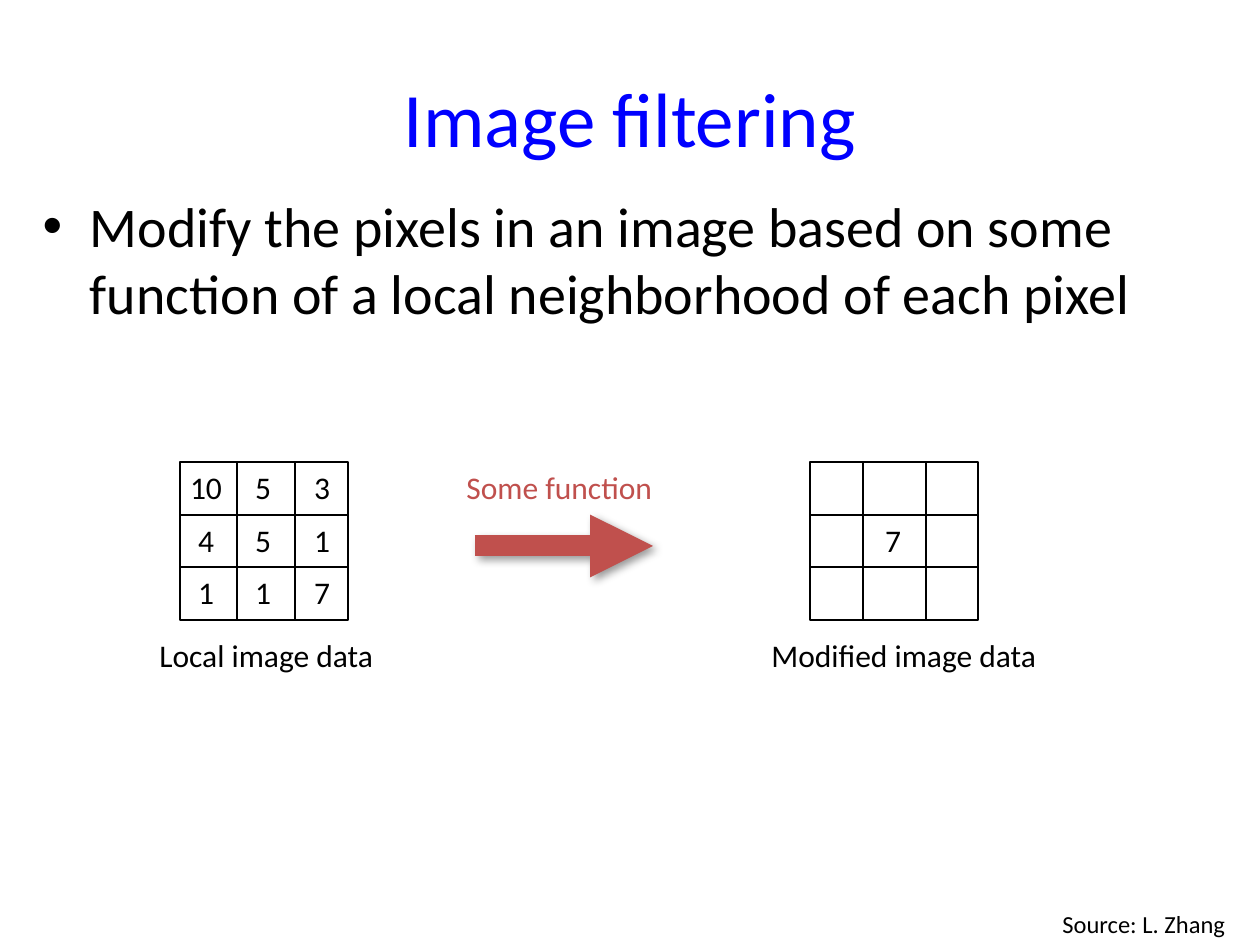
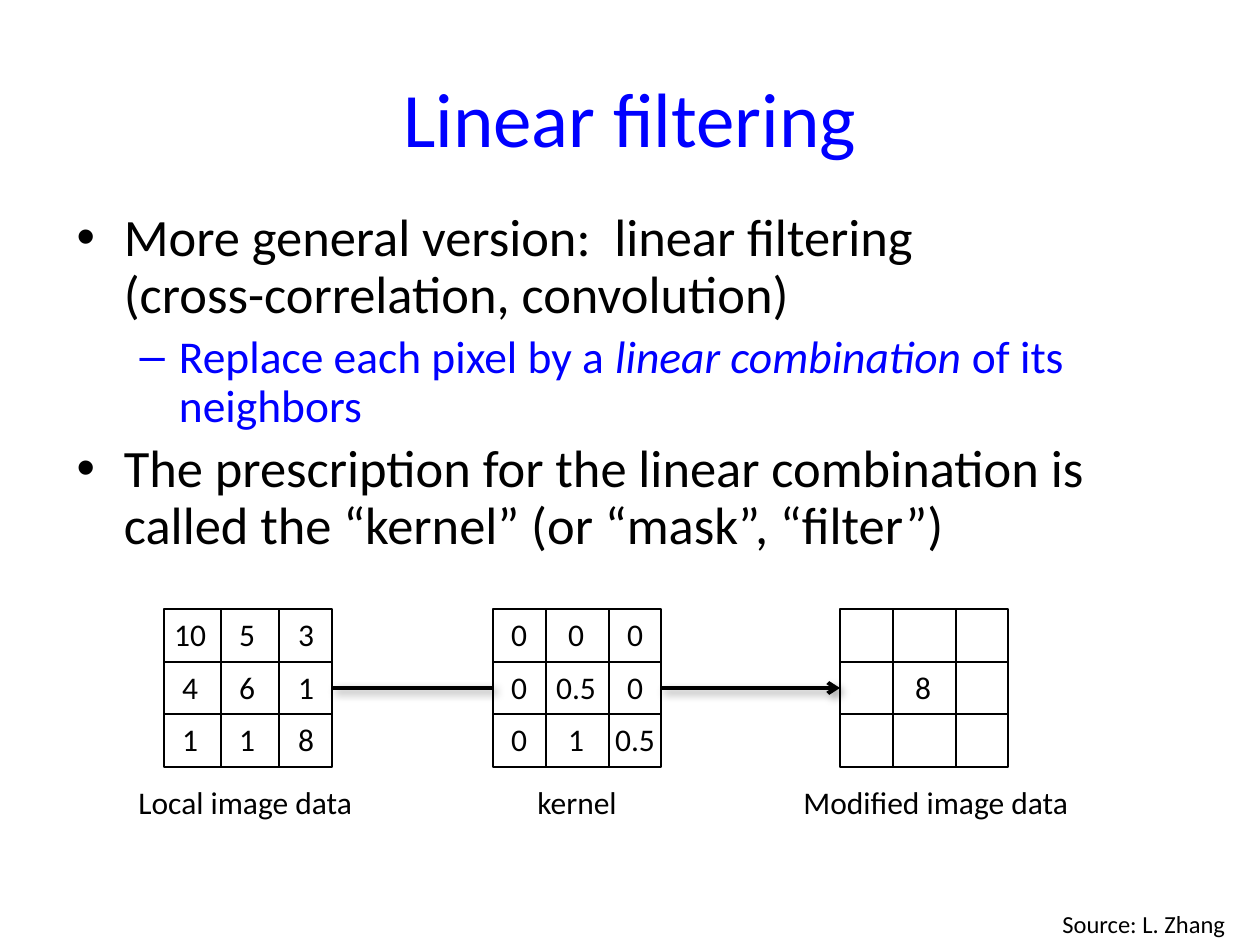
import lxml.etree
import pptx
import pptx.dml.color
import pptx.enum.shapes
import pptx.enum.text
import pptx.oxml.ns
import pptx.util

PX = 914400 / 126  # EMU in one px
BLUE = pptx.dml.color.RGBColor(0x00, 0x00, 0xFF)
BLACK = pptx.dml.color.RGBColor(0x00, 0x00, 0x00)
RED = pptx.dml.color.RGBColor(0xC0, 0x50, 0x4D)
FONT = "Calibri"

# Pixel grid geometry, relative to the grid's top left corner
GRID_WIDTH, GRID_HEIGHT = 168, 158
ROW_TOPS = (0, 53, 105)
NUMBER_CENTRES = (26, 83, 142)
NUMBER_WIDTH, NUMBER_HEIGHT = 58, 50
WIDE_FIRST = (57, 115)
WIDE_MIDDLE = (53, 116)
CAPTION_DROP = 168


def add_label(shapes, text, left, top, width, height, size=18, colour=BLACK, centred=False):
    label = shapes.add_textbox(*(round(n * PX) for n in (left, top, width, height)))
    frame = label.text_frame
    frame.word_wrap = True
    frame.text = text
    paragraph = frame.paragraphs[0]
    if centred:
        frame.margin_left = frame.margin_right = 0
        paragraph.alignment = pptx.enum.text.PP_ALIGN.CENTER
    font = paragraph.runs[0].font
    font.name, font.size = FONT, pptx.util.Pt(size)
    font.color.rgb = colour


def add_line(shapes, x1, y1, x2, y2, colour=BLACK, width=0.75, head=None, shadow=False):
    line = shapes.add_connector(pptx.enum.shapes.MSO_CONNECTOR.STRAIGHT,
                                *(round(n * PX) for n in (x1, y1, x2, y2)))
    line.line.color.rgb = colour
    line.line.width = pptx.util.Pt(width)
    qn = pptx.oxml.ns.qn
    properties = line._element.spPr
    if head:
        lxml.etree.SubElement(properties.find(qn("a:ln")), qn("a:tailEnd"), type=head)
    effects = lxml.etree.SubElement(properties, qn("a:effectLst"))
    if shadow:
        outer = lxml.etree.SubElement(effects, qn("a:outerShdw"), blurRad="63500",
                                      dist="38100", dir="2700000", rotWithShape="0")
        shade = lxml.etree.SubElement(outer, qn("a:srgbClr"), val="000000")
        lxml.etree.SubElement(shade, qn("a:alpha"), val="40000")


presentation = pptx.Presentation()
presentation.slide_width = pptx.util.Inches(10)
presentation.slide_height = pptx.util.Inches(7.5)

EMPTY = ["", "", ""]

# Bullets: level, size, colour, line spacing, pieces as (text, italic)
# Grids: left, column dividers, rows, caption, caption left, caption width
# Arrows: from x, to x, y, colour, width, head
slides = [
    {
        "title": "Image filtering",
        "body": (30, 185, 1202, 190),
        "bullets": [
            (0, 32, BLACK, None, [("Modify the pixels in an image based on some function "
                                   "of a local neighborhood of each pixel", None)]),
        ],
        "grid top": 462,
        "grids": [
            (180, WIDE_FIRST, [["10", "5", "3"], ["4", "5", "1"], ["1", "1", "7"]],
             "Local image data", 147, 314),
            (810, WIDE_MIDDLE, [EMPTY, ["", "7", ""], EMPTY],
             "Modified image data", 759, 374),
        ],
        "arrows": [(475, 653, 546, RED, 12, "triangle")],
    },
    {
        "title": "Linear filtering",
        "body": (64, 205, 1154, 386),
        "bullets": [
            (0, 30, BLACK, 0.9, [("More general version:  linear filtering\v"
                                  "(cross-correlation, convolution)", None)]),
            (1, 26, BLUE, 0.9, [("Replace each pixel by a", None),
                                (" linear combination ", True),
                                ("of its neighbors", None)]),
            (0, 30, BLACK, 0.9, [("The prescription for the linear combination is called "
                                  "the “kernel” (or “mask”, “filter”)", None)]),
        ],
        "grid top": 609,
        "grids": [
            (164, WIDE_FIRST, [["10", "5", "3"], ["4", "6", "1"], ["1", "1", "8"]],
             "Local image data", 126, 252),
            (493, WIDE_MIDDLE, [["0", "0", "0"], ["0", "0.5", "0"], ["0", "1", "0.5"]],
             "kernel", 525, 130),
            (840, WIDE_MIDDLE, [EMPTY, ["", "8", ""], EMPTY],
             "Modified image data", 791, 374),
        ],
        "arrows": [(332, 493, 688, BLACK, 2.25, None),
                   (661, 840, 688, BLACK, 2.25, "arrow")],
    },
]

for content in slides:
    slide = presentation.slides.add_slide(presentation.slide_layouts[1])

    # Title
    title = slide.shapes.title
    title.left, title.top, title.width, title.height = (
        round(n * PX) for n in (63, 38, 1134, 158))
    title.text_frame.text = content["title"]
    font = title.text_frame.paragraphs[0].runs[0].font
    font.name, font.size = FONT, pptx.util.Pt(44)
    font.color.rgb = BLUE

    # Bullet list
    body = slide.placeholders[1]
    body.left, body.top, body.width, body.height = (round(n * PX) for n in content["body"])
    frame = body.text_frame
    frame.auto_size = pptx.enum.text.MSO_AUTO_SIZE.NONE
    for index, (level, size, colour, spacing, pieces) in enumerate(content["bullets"]):
        paragraph = frame.add_paragraph() if index else frame.paragraphs[0]
        paragraph.text = pieces[0][0]
        paragraph.level = level
        paragraph.line_spacing = spacing
        for text, italic in pieces[1:]:
            run = paragraph.add_run()
            run.text = text
            run.font.italic = italic
        for run in paragraph.runs:
            run.font.name, run.font.size = FONT, pptx.util.Pt(size)
            run.font.color.rgb = colour

    # Arrows between the grids
    for start, end, y, colour, width, head in content["arrows"]:
        add_line(slide.shapes, start, y, end, y, colour, width, head, shadow=True)

    # Pixel grids with captions
    top = content["grid top"]
    for left, dividers, rows, caption, caption_left, caption_width in content["grids"]:
        grid = slide.shapes.add_group_shape().shapes
        outline = grid.add_shape(
            pptx.enum.shapes.MSO_SHAPE.RECTANGLE,
            *(round(n * PX) for n in (left, top, GRID_WIDTH, GRID_HEIGHT)))
        outline.shadow.inherit = False
        outline.fill.background()
        outline.line.color.rgb = BLACK
        outline.line.width = pptx.util.Pt(0.75)
        for x in dividers:
            add_line(grid, left + x, top, left + x, top + GRID_HEIGHT)
        for row_top, numbers in zip(ROW_TOPS, rows):
            y = top + row_top
            add_line(grid, left, y, left + GRID_WIDTH, y)
            for centre, number in zip(NUMBER_CENTRES, numbers):
                if number:
                    add_label(grid, number, left + centre - NUMBER_WIDTH // 2, y,
                              NUMBER_WIDTH, NUMBER_HEIGHT, centred=True)
        add_label(slide.shapes, caption, caption_left, top + CAPTION_DROP, caption_width, 50)

    # Source credit
    add_label(slide.shapes, "Source: L. Zhang", 1050, 903, 195, 43, size=14)

# Name of the red arrow on the first slide
add_label(presentation.slides[0].shapes, "Some function", 454, 462, 271, 50, colour=RED)

presentation.save("out.pptx")
